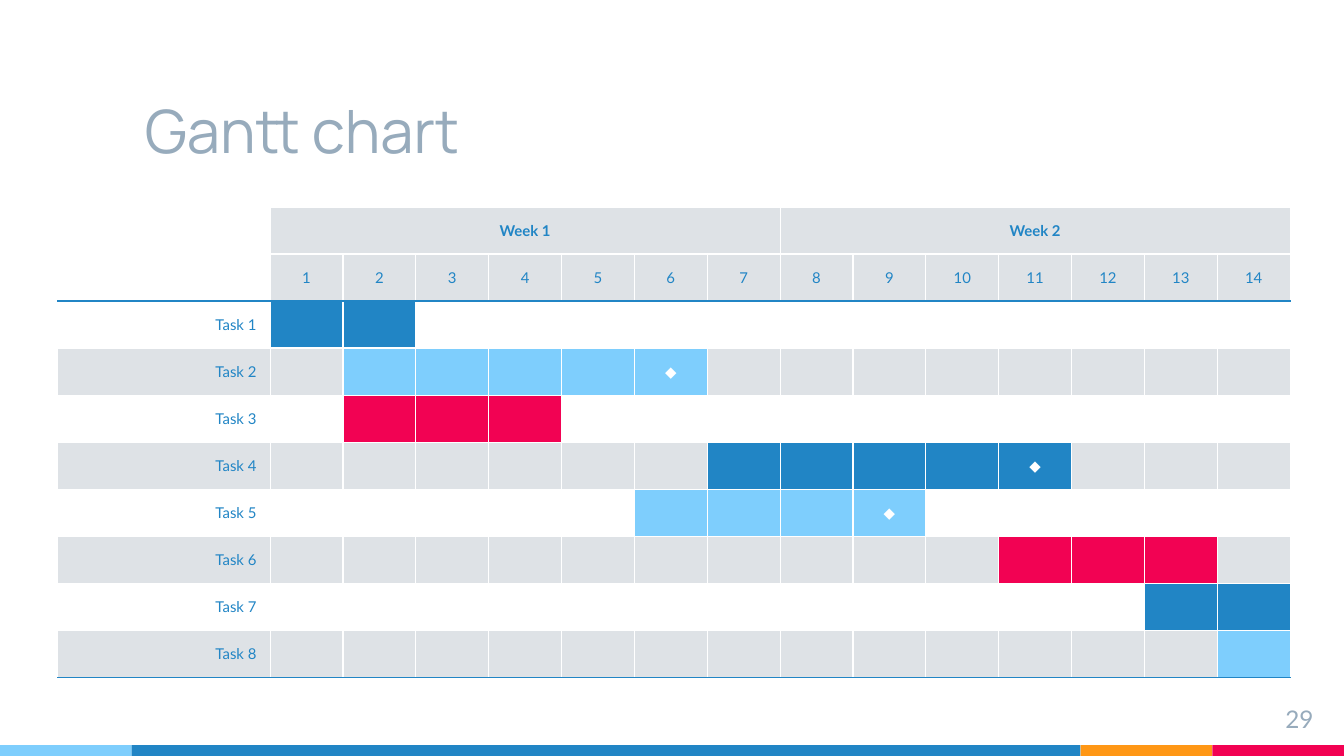
from lxml.etree import SubElement
from pptx import Presentation
from pptx.dml.color import RGBColor
from pptx.enum.shapes import MSO_SHAPE
from pptx.enum.text import MSO_ANCHOR, PP_ALIGN
from pptx.oxml.ns import qn
from pptx.util import Inches, Pt

WIDTH = Inches(10)
HEIGHT = WIDTH * 9 // 16
BLUE, SKY, RED, ORANGE = "2185C5", "7ECEFD", "F20253", "FF9715"
GREY, SLATE, WHITE = "DEE2E6", "97ABBC", "FFFFFF"
DAYS, HEADER_ROWS = 14, 2

# First day, last day, colour, whether the last day is a milestone
TASKS = [
    (1, 2, BLUE, False),
    (2, 6, SKY, True),
    (2, 4, RED, False),
    (7, 11, BLUE, True),
    (6, 9, SKY, True),
    (11, 13, RED, False),
    (13, 14, BLUE, False),
    (14, 14, SKY, False),
]


def write(frame, text, *, size, color, font="Lato", bold=False, align=PP_ALIGN.LEFT):
    para = frame.paragraphs[0]
    para.alignment = align
    if text:
        span = para.add_run()
        span.text = text
        span.font.size = Pt(size)
        span.font.name = font
        span.font.bold = bold
        span.font.color.rgb = RGBColor.from_string(color)
    else:
        # Keeps an empty cell from growing to the default text size
        para._p.get_or_add_endParaRPr().set("sz", str(size * 100))


def set_borders(cell, **colors):
    """Draw borders by side (L, R, T, B); call this before setting the fill."""
    properties = cell._tc.get_or_add_tcPr()
    for side, color in colors.items():
        line = SubElement(properties, qn(f"a:ln{side}"), w=str(Pt(0.75)))
        fill = SubElement(line, qn("a:solidFill"))
        SubElement(fill, qn("a:srgbClr"), val=color)


deck = Presentation()
deck.slide_width, deck.slide_height = WIDTH, HEIGHT
page = deck.slides.add_slide(deck.slide_layouts[6])

# Colour strip along the bottom edge
strip_height = Inches(0.08)
end_width = Inches(0.98)
left = 0
for color in (SKY, BLUE, ORANGE, RED):
    width = WIDTH - 3 * end_width if color == BLUE else end_width
    strip = page.shapes.add_shape(
        MSO_SHAPE.RECTANGLE, left, HEIGHT - strip_height, width, strip_height)
    strip.shadow.inherit = False
    strip.fill.solid()
    strip.fill.fore_color.rgb = RGBColor.from_string(color)
    strip.line.fill.background()
    left += width

# Title and page number
for text, area, anchor, style in [
    ("Gantt chart", (0.98, 0.39, 7.07, 0.94), MSO_ANCHOR.BOTTOM,
     dict(size=32, color=SLATE, font="Manrope")),
    ("29", (9.27, 5.14, 0.6, 0.34), MSO_ANCHOR.TOP,
     dict(size=13, color=SLATE, align=PP_ALIGN.RIGHT)),
]:
    box = page.shapes.add_textbox(*map(Inches, area))
    frame = box.text_frame
    frame.word_wrap = True
    frame.vertical_anchor = anchor
    frame.margin_left = frame.margin_right = Inches(0.1)
    frame.margin_top = frame.margin_bottom = Inches(0.1)
    write(frame, text, **style)

# Schedule table: one label column, then one column a day
row_count = HEADER_ROWS + len(TASKS)
label_width, days_width, row_height = Inches(1.58), Inches(7.59), Inches(0.35)
table = page.shapes.add_table(
    row_count, DAYS + 1, Inches(0.43), Inches(1.54),
    label_width + days_width, row_height * row_count).table
table.first_row = table.horz_banding = False
for index, column in enumerate(table.columns):
    column.width = days_width // DAYS if index else label_width
for row in table.rows:
    row.height = row_height

ruled_rows = (HEADER_ROWS - 1, row_count - 1)
for row in range(row_count):
    for day in range(DAYS + 1):
        text, color, bold, align = "", BLUE, False, PP_ALIGN.CENTER
        if row < HEADER_ROWS:
            fill = GREY if day else None
            if row == 0 and day % 7 == 1:
                text, bold = f"Week {day // 7 + 1}", True
            elif row == 1 and day:
                text = str(day)
        else:
            number = row - HEADER_ROWS + 1
            start, end, bar_color, milestone = TASKS[number - 1]
            fill = GREY if number % 2 == 0 else None
            if start <= day <= end:
                fill = bar_color
            if day == 0:
                text, align = f"Task {number}", PP_ALIGN.RIGHT
            elif day == end and milestone:
                text, color = "◆", WHITE

        cell = table.cell(row, day)
        cell.vertical_anchor = MSO_ANCHOR.MIDDLE
        cell.margin_left = cell.margin_right = Inches(0.1)
        cell.margin_top = cell.margin_bottom = Inches(0.05)
        set_borders(cell, L=WHITE, R=WHITE,
                    T=BLUE if row - 1 in ruled_rows else WHITE,
                    B=BLUE if row in ruled_rows else WHITE)
        if fill:
            cell.fill.solid()
            cell.fill.fore_color.rgb = RGBColor.from_string(fill)
        else:
            cell.fill.background()
        write(cell.text_frame, text, size=8, color=color, bold=bold, align=align)

for first_day in (1, 8):
    table.cell(0, first_day).merge(table.cell(0, first_day + 6))

deck.save("out.pptx")
